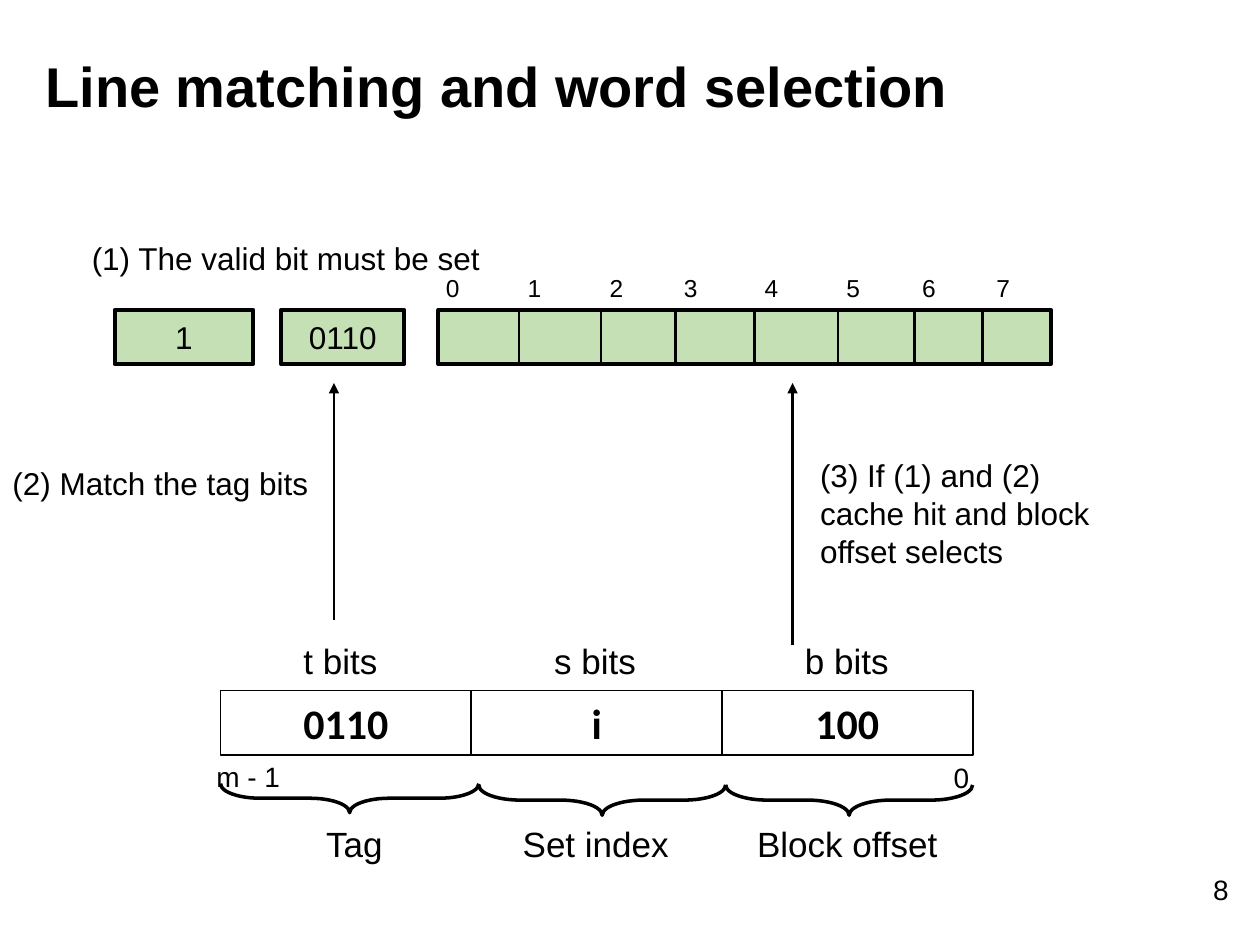
from lxml import etree
from pptx import Presentation
from pptx.dml.color import RGBColor
from pptx.enum.shapes import MSO_CONNECTOR, MSO_SHAPE
from pptx.enum.text import MSO_ANCHOR, PP_ALIGN
from pptx.oxml.ns import qn
from pptx.util import Inches, Pt

LEFT, CENTER = PP_ALIGN.LEFT, PP_ALIGN.CENTER
TOP, MIDDLE = MSO_ANCHOR.TOP, MSO_ANCHOR.MIDDLE
RECTANGLE, LEFT_BRACE = MSO_SHAPE.RECTANGLE, MSO_SHAPE.LEFT_BRACE
STRAIGHT = MSO_CONNECTOR.STRAIGHT
BLACK = RGBColor(0x00, 0x00, 0x00)
WHITE = RGBColor(0xFF, 0xFF, 0xFF)
GREEN = RGBColor(0xC5, 0xE0, 0xB4)

TITLE = "Line matching and word selection"
TITLE_BOX = (0.26, 0.26, 8.3, 0.83)

LINE_TOP, LINE_HEIGHT = 2.46, 0.43
CACHE_LINE = [("1", 0.91, 1.1), ("0110", 2.23, 0.98), ("", 3.48, 4.86)]
DIVIDERS = [4.12, 4.77, 5.36, 5.99, 6.65, 7.26, 7.8]
DIVIDER_HEIGHT = 0.42
BYTE_BOX = (3.44, 2.12, 6.56, 0.34)
BYTE_TABS = [0.65, 1.3, 1.89, 2.53, 3.18, 3.78, 4.37]

FIELD_LEFT, FIELD_TOP, FIELD_WIDTH, FIELD_HEIGHT = 1.75, 5.48, 1.99, 0.51
BITS_OFFSET, BITS_TOP, BITS_WIDTH, BITS_HEIGHT = 0.56, 5.03, 1, 0.41
FIELDS = [
    {"bits": "t bits", "value": "0110", "name": "Tag",
     "name_box": (2.49, 6.48, 0.86, 0.41), "brace": (2.66, 5.31, 0.23, 2.05)},
    {"bits": "s bits", "value": "i", "name": "Set index",
     "name_box": (4.05, 6.48, 1.4, 0.41), "brace": (4.66, 5.37, 0.24, 1.96)},
    {"bits": "b bits", "value": "100", "name": "Block offset",
     "name_box": (5.91, 6.48, 1.81, 0.41), "brace": (6.62, 5.37, 0.24, 1.96)},
]
LABELS = [
    ("(1) The valid bit must be set", (0.63, 1.85, 3.38, 0.4), 18),
    ("(2) Match the tag bits", (0, 3.63, 2.62, 0.4), 18),
    ("(3) If (1) and (2) cache hit and block offset selects",
     (6.41, 3.57, 2.62, 1.01), 18),
    ("m - 1", (1.62, 5.98, 0.86, 0.34), 16),
    ("0", (7.47, 5.99, 0.34, 0.34), 16),
    ("8", (9.53, 6.88, 0.47, 0.37), 16),
]
ARROWS = [(2.65, 4.92, 3.04), (6.29, 5.12, 3.04)]


def write(shape, text, size, align=LEFT, anchor=TOP, name="Arial", bold=False):
    frame = shape.text_frame
    frame.word_wrap = True
    frame.vertical_anchor = anchor
    paragraph = frame.paragraphs[0]
    paragraph.text = text
    paragraph.alignment = align
    font_format = {"size": Pt(size), "name": name, "bold": bold}
    for attribute, value in font_format.items():
        setattr(paragraph.font, attribute, value)
    paragraph.font.color.rgb = BLACK


def add_label(slide, text, box, size):
    label = slide.shapes.add_textbox(*map(Inches, box))
    write(label, text, size)


def add_outlined(slide, preset, box, width, fill=None):
    shape = slide.shapes.add_shape(preset, *map(Inches, box))
    shape.shadow.inherit = False
    if fill is None:
        shape.fill.background()
    else:
        shape.fill.solid()
        shape.fill.fore_color.rgb = fill
    shape.line.color.rgb = BLACK
    shape.line.width = Pt(width)
    return shape


def add_vertical(slide, x, start, end, arrow=False):
    points = map(Inches, (x, start, x, end))
    connector = slide.shapes.add_connector(STRAIGHT, *points)
    connector.line.color.rgb = BLACK
    connector.line.width = Pt(1.5)
    if arrow:
        line = connector.line._get_or_add_ln()
        etree.SubElement(line, qn("a:tailEnd"), type="triangle")
    etree.SubElement(connector._element.spPr, qn("a:effectLst"))


def add_byte_numbers(slide):
    numbers = "\t".join(str(index) for index in range(len(BYTE_TABS) + 1))
    label = slide.shapes.add_textbox(*map(Inches, BYTE_BOX))
    properties = label.text_frame.paragraphs[0]._p.get_or_add_pPr()
    tab_list = etree.SubElement(properties, qn("a:tabLst"))
    for position in BYTE_TABS:
        etree.SubElement(tab_list, qn("a:tab"), pos=str(Inches(position)), algn="l")
    write(label, numbers, 14)


def add_cache_line(slide):
    for text, left, width in CACHE_LINE:
        box = (left, LINE_TOP, width, LINE_HEIGHT)
        cell = add_outlined(slide, RECTANGLE, box, 2.25, GREEN)
        if text:
            write(cell, text, 18, CENTER, MIDDLE)
    for x in DIVIDERS:
        add_vertical(slide, x, LINE_TOP, LINE_TOP + DIVIDER_HEIGHT)
    add_byte_numbers(slide)


def add_address(slide):
    for index, field in enumerate(FIELDS):
        left = FIELD_LEFT + index * FIELD_WIDTH
        box = (left, FIELD_TOP, FIELD_WIDTH, FIELD_HEIGHT)
        cell = add_outlined(slide, RECTANGLE, box, 1, WHITE)
        write(cell, field["value"], 24, CENTER, MIDDLE, "Calibri", True)
        bits_box = (left + BITS_OFFSET, BITS_TOP, BITS_WIDTH, BITS_HEIGHT)
        add_label(slide, field["bits"], bits_box, 20)
        brace = add_outlined(slide, LEFT_BRACE, field["brace"], 2)
        brace.rotation = 270
        brace.adjustments[0] = 1.37
        add_label(slide, field["name"], field["name_box"], 20)


def main():
    presentation = Presentation()
    presentation.slide_width = Inches(10)
    presentation.slide_height = Inches(7.5)
    slide = presentation.slides.add_slide(presentation.slide_layouts[5])
    title = slide.shapes.title
    title.left, title.top, title.width, title.height = map(Inches, TITLE_BOX)
    write(title, TITLE, 32, anchor=MIDDLE, bold=True)
    add_cache_line(slide)
    add_address(slide)
    for text, box, size in LABELS:
        add_label(slide, text, box, size)
    for x, start, end in ARROWS:
        add_vertical(slide, x, start, end, arrow=True)
    presentation.save("out.pptx")


if __name__ == "__main__":
    main()
